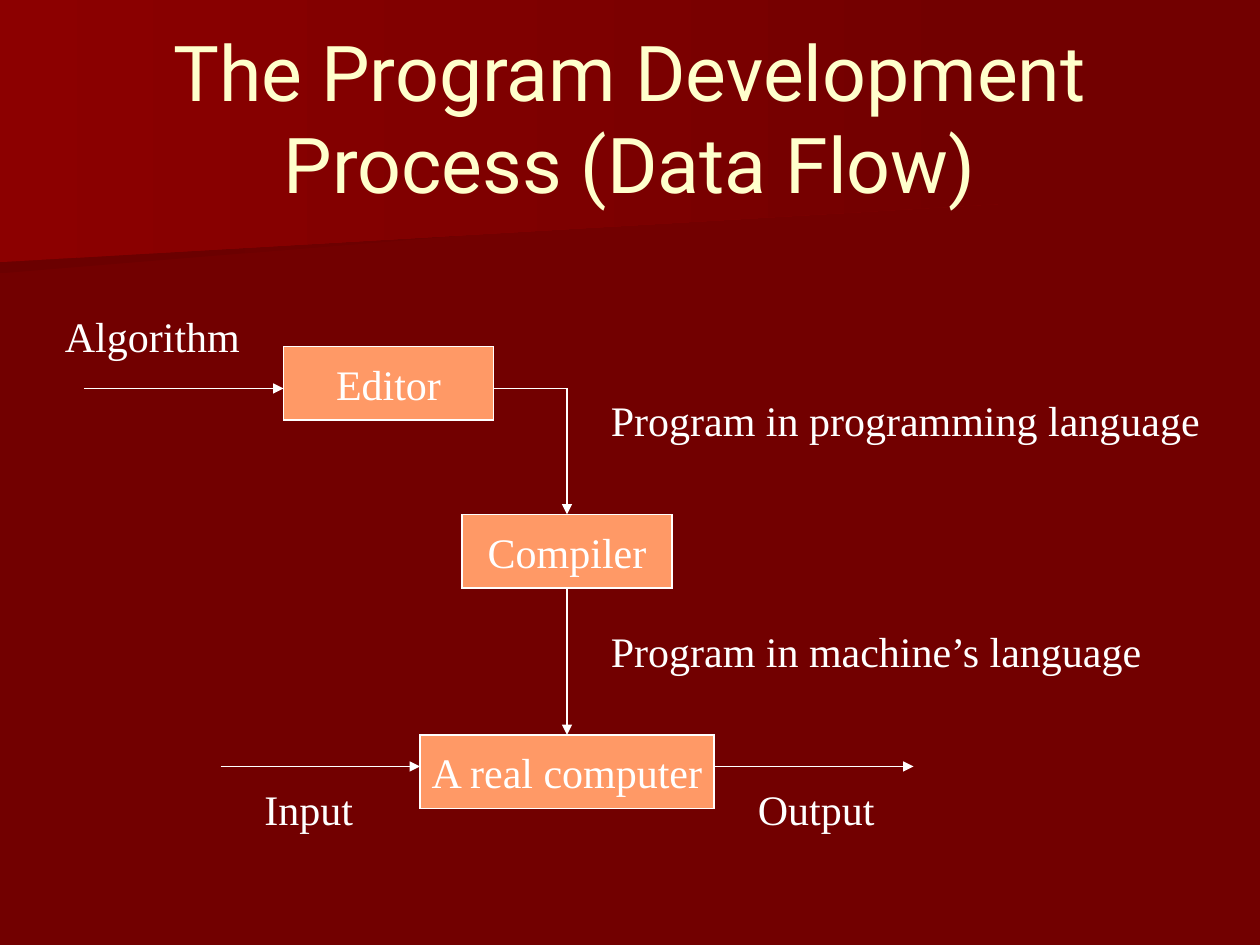
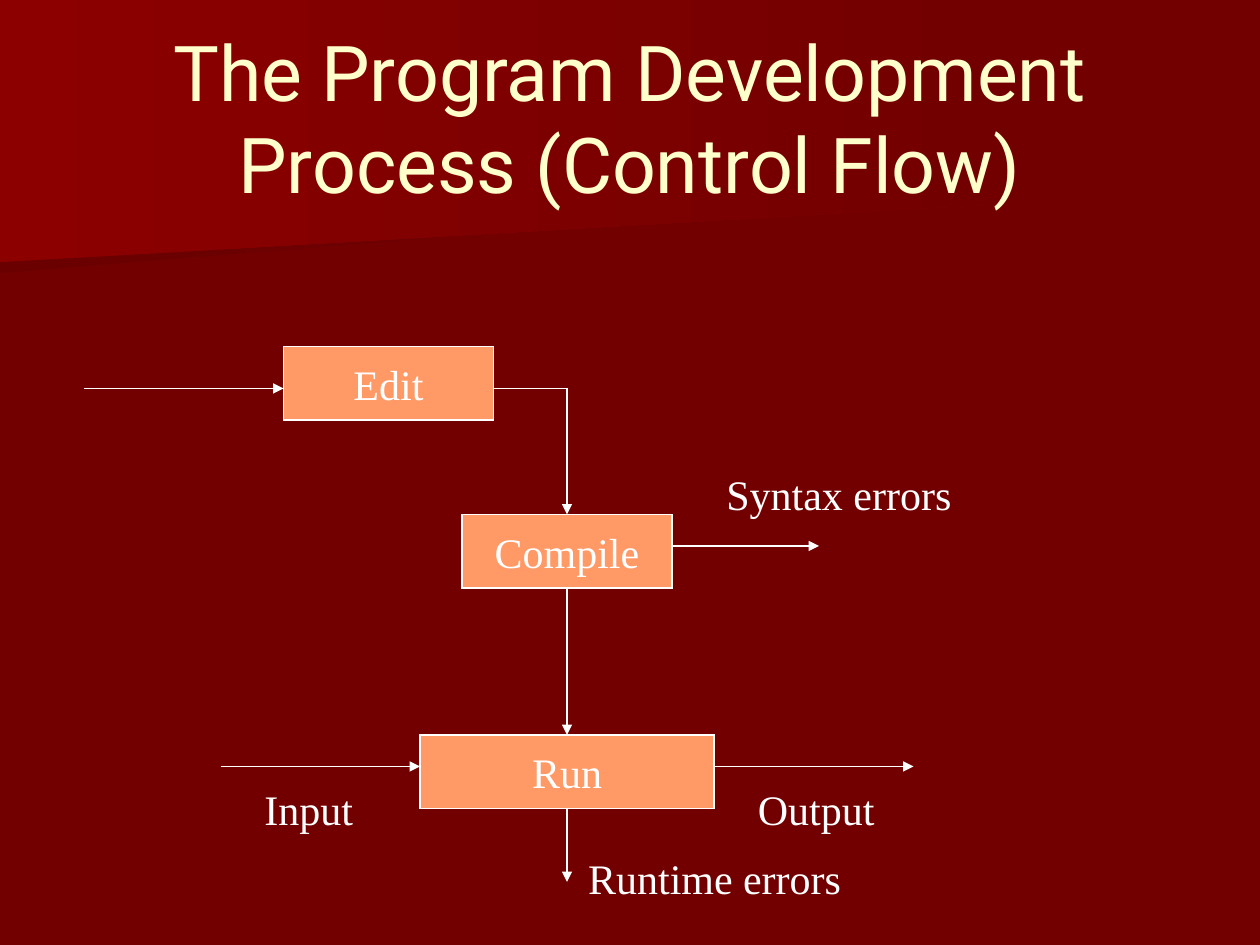
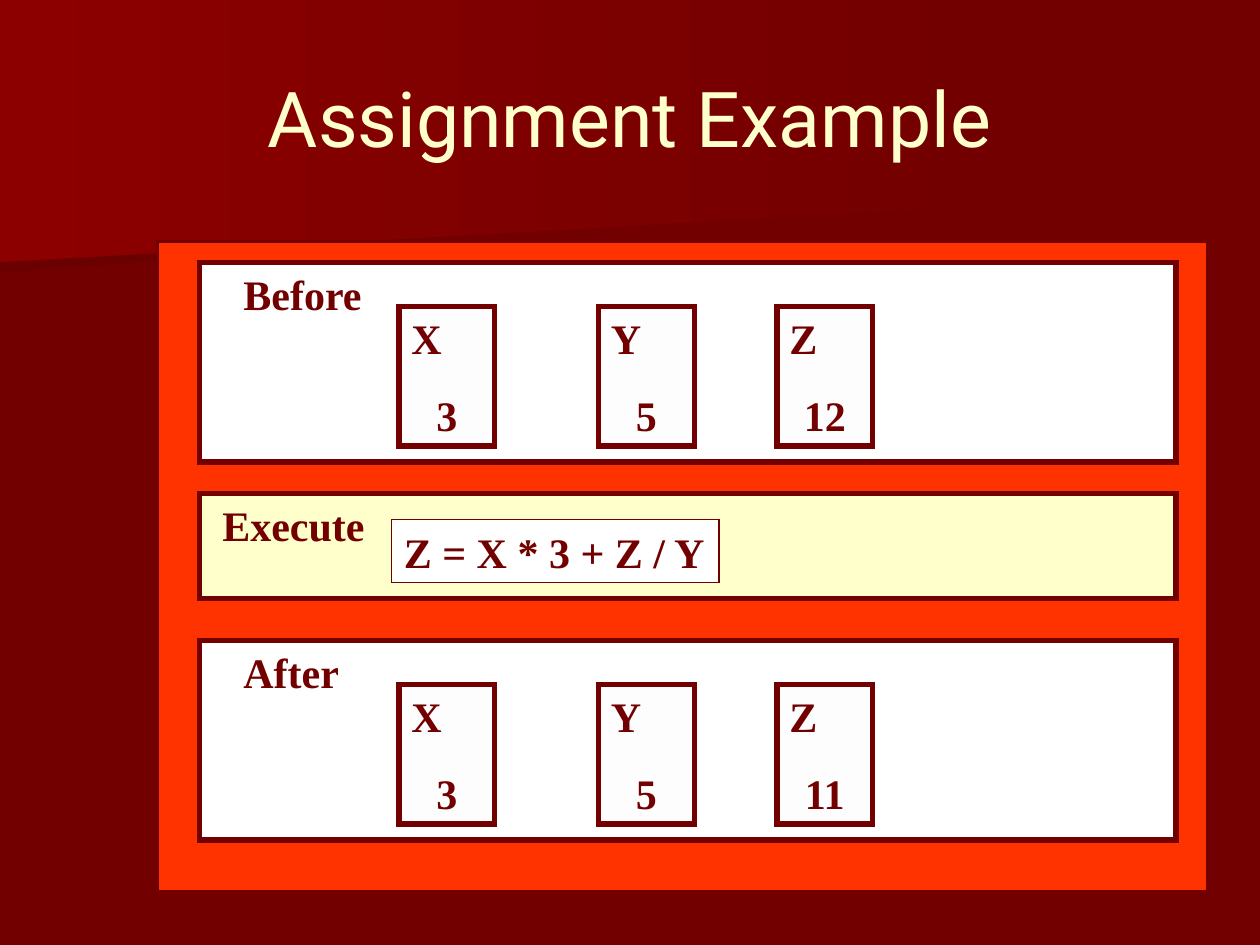
from dataclasses import dataclass
from typing import Optional

from lxml.etree import SubElement
from pptx import Presentation
from pptx.dml.color import RGBColor
from pptx.enum.shapes import MSO_CONNECTOR, MSO_SHAPE
from pptx.enum.text import MSO_ANCHOR, MSO_AUTO_SIZE, PP_ALIGN
from pptx.oxml.ns import qn
from pptx.util import Pt

# Shared look
MAROON = RGBColor(0x72, 0x00, 0x00)
DARK_MAROON = RGBColor(0x6B, 0x00, 0x00)
RED_GLOW = RGBColor(0x8C, 0x00, 0x00)
CREAM = RGBColor(0xFF, 0xFF, 0xCC)
ORANGE = RGBColor(0xFF, 0x99, 0x66)
SCARLET = RGBColor(0xFF, 0x33, 0x00)
WHITE = RGBColor(0xFF, 0xFF, 0xFF)
OFF_WHITE = RGBColor(0xFD, 0xFD, 0xFD)
TITLE_FONT, BODY_FONT = "Roboto", "Times New Roman"
TITLE_SIZE, BODY_SIZE = 44, 24
TITLE_ONLY = 5
LABEL_HEIGHT = 36


@dataclass
class Band:
    color: RGBColor
    outline: list[tuple[float, float]]


@dataclass
class Label:
    text: str
    left: float
    top: float
    width: float


@dataclass
class Block:
    left: float
    top: float
    width: float
    height: float
    fill: RGBColor
    line: RGBColor
    line_width: float


@dataclass
class Arrow:
    start: tuple[float, float]
    end: tuple[float, float]
    has_head: bool = True


BANDS = [
    Band(DARK_MAROON, [(560.2, 110.2), (0, 156.2), (0, 72.7), (560.9, 72.7), (560.2, 92.2)]),
    Band(RED_GLOW, [(570.2, 116.6), (0, 149.8), (0, 0), (570.2, 0)]),
]

# Flow diagram parts that both flow slides share
STEPS = [
    Block(162, 198, 120, 42, ORANGE, WHITE, 0.75),
    Block(264, 294, 120, 42, ORANGE, WHITE, 0.75),
    Block(240, 420, 168, 42, ORANGE, WHITE, 0.75),
]
FLOW_ARROWS = [
    Arrow((324, 222), (324, 294)),
    Arrow((324, 336), (324, 420)),
    Arrow((48, 222), (162, 222)),
    Arrow((282, 222), (324, 222), has_head=False),
    Arrow((126, 438), (240, 438)),
    Arrow((408, 438), (522, 438)),
]
FLOW_LABELS = [Label("Input", 144, 444, 65.5), Label("Output", 426, 444, 81.5)]

DATA_LABELS = [
    Label("Algorithm", 30, 174, 114.5),
    Label("Program in programming language", 342, 222, 351),
    Label("Program in machine’s language", 342, 354, 319),
]
ERROR_ARROWS = [Arrow((384, 312), (468, 312)), Arrow((324, 462), (324, 504))]
ERROR_LABELS = [
    Label("Syntax errors", 408, 264, 143),
    Label("Runtime errors", 329, 483.3, 159),
]

# Assignment slide
VARIABLE_LEFTS = {"X": 228, "Y": 342, "Z": 444}


def add_master_bands(deck, page) -> None:
    """Draw the bands on a page, then move them to the back of the master."""
    deck.slide_master.background.fill.solid()
    deck.slide_master.background.fill.fore_color.rgb = MAROON
    for number, band in enumerate(BANDS):
        points = [(Pt(x), Pt(y)) for x, y in band.outline]
        builder = page.shapes.build_freeform(*points[0], scale=1.0)
        builder.add_line_segments(points[1:], close=True)
        shape = builder.convert_to_shape()
        shape.shadow.inherit = False
        shape.line.fill.background()
        shape.fill.gradient()
        shape.fill.gradient_angle = 0
        for stop, color in zip(shape.fill.gradient_stops, (band.color, MAROON)):
            stop.color.rgb = color
        shape.element.xpath("p:nvSpPr/p:cNvPr")[0].set("id", str(100 + number))
        deck.slide_master.shapes.element.insert(2 + number, shape.element)


def add_page(deck, title: str):
    page = deck.slides.add_slide(deck.slide_layouts[TITLE_ONLY])
    box = page.shapes.title
    box.left, box.top, box.width, box.height = Pt(36), Pt(21.6), Pt(648), Pt(90)
    frame = box.text_frame
    frame.text = title
    frame.auto_size = MSO_AUTO_SIZE.NONE
    frame.vertical_anchor = MSO_ANCHOR.MIDDLE
    para = frame.paragraphs[0]
    para.alignment = PP_ALIGN.CENTER
    para.font.name, para.font.size = TITLE_FONT, Pt(TITLE_SIZE)
    para.font.color.rgb = CREAM
    return page


def write_text(shape, text: str, color: RGBColor, align=PP_ALIGN.LEFT, bold: bool = False) -> None:
    frame = shape.text_frame
    frame.text = text
    frame.word_wrap = False
    frame.vertical_anchor = MSO_ANCHOR.MIDDLE
    for para in frame.paragraphs:
        para.alignment = align
        para.font.name, para.font.size = BODY_FONT, Pt(BODY_SIZE)
        para.font.bold = bold
        para.font.color.rgb = color


def add_label(page, label: Label, color: RGBColor = WHITE, bold: bool = False) -> None:
    box = page.shapes.add_textbox(
        Pt(label.left), Pt(label.top), Pt(label.width), Pt(LABEL_HEIGHT))
    write_text(box, label.text, color, bold=bold)
    box.text_frame.auto_size = MSO_AUTO_SIZE.SHAPE_TO_FIT_TEXT


def style_line(shape, color: RGBColor, width: float):
    """Set a solid line with sharp corners and return its XML element."""
    shape.line.color.rgb = color
    shape.line.width = Pt(width)
    line = shape.element.spPr.find(qn("a:ln"))
    SubElement(line, qn("a:miter"), lim="800000")
    return line


def add_block(page, block: Block):
    shape = page.shapes.add_shape(
        MSO_SHAPE.RECTANGLE, Pt(block.left), Pt(block.top), Pt(block.width), Pt(block.height))
    shape.shadow.inherit = False
    shape.fill.solid()
    shape.fill.fore_color.rgb = block.fill
    style_line(shape, block.line, block.line_width)
    return shape


def add_arrow(page, arrow: Arrow) -> None:
    ends = [Pt(value) for value in (*arrow.start, *arrow.end)]
    connector = page.shapes.add_connector(MSO_CONNECTOR.STRAIGHT, *ends)
    line = style_line(connector, WHITE, 0.75)
    if arrow.has_head:
        SubElement(line, qn("a:tailEnd"), type="triangle")
    SubElement(connector.element.spPr, qn("a:effectLst"))


def add_flow_page(page, steps: list[str], labels: list[Label],
                  extra_arrows: Optional[list[Arrow]] = None) -> None:
    for block, name in zip(STEPS, steps):
        write_text(add_block(page, block), name, WHITE, PP_ALIGN.CENTER)
    for arrow in FLOW_ARROWS + (extra_arrows or []):
        add_arrow(page, arrow)
    for label in FLOW_LABELS + labels:
        add_label(page, label)


def add_panel(page, top: float, height: float, fill: RGBColor, label: Label) -> None:
    add_block(page, Block(114, top, 558, height, fill, MAROON, 3))
    add_label(page, label, MAROON, bold=True)


def add_memory_panel(page, top: float, label: Label, values: dict[str, int]) -> None:
    add_panel(page, top, 114, WHITE, label)
    for name, value in values.items():
        cell = add_block(
            page, Block(VARIABLE_LEFTS[name], top + 25, 54.7, 79.9, OFF_WHITE, MAROON, 3))
        write_text(cell, f"{name}\n{value}", MAROON, bold=True)
        cell.text_frame.word_wrap = True
        value_para = cell.text_frame.paragraphs[1]
        value_para.alignment = PP_ALIGN.CENTER
        value_para.space_before = Pt(15)


def add_assignment_page(page) -> None:
    add_block(page, Block(90, 138, 600, 372, SCARLET, MAROON, 2.25))
    add_memory_panel(page, 150, Label("Before", 132, 150, 82), {"X": 3, "Y": 5, "Z": 12})
    add_memory_panel(page, 366, Label("After", 132, 366, 69), {"X": 3, "Y": 5, "Z": 11})
    add_panel(page, 282, 60, CREAM, Label("Execute", 120, 282, 96))
    formula = add_block(page, Block(223.7, 297, 187.2, 36, WHITE, MAROON, 0.75))
    write_text(formula, "Z = X * 3 + Z / Y", MAROON, bold=True)


def main() -> None:
    deck = Presentation()
    deck.slide_width, deck.slide_height = Pt(720), Pt(540)

    # Data flow
    page = add_page(deck, "The Program Development Process (Data Flow)")
    add_master_bands(deck, page)
    add_flow_page(page, ["Editor", "Compiler", "A real computer"], DATA_LABELS)

    # Control flow
    page = add_page(deck, "The Program Development Process (Control Flow)")
    add_flow_page(page, ["Edit", "Compile", "Run"], ERROR_LABELS, ERROR_ARROWS)

    # Assignment
    add_assignment_page(add_page(deck, "Assignment Example"))

    deck.save("out.pptx")


if __name__ == "__main__":
    main()
